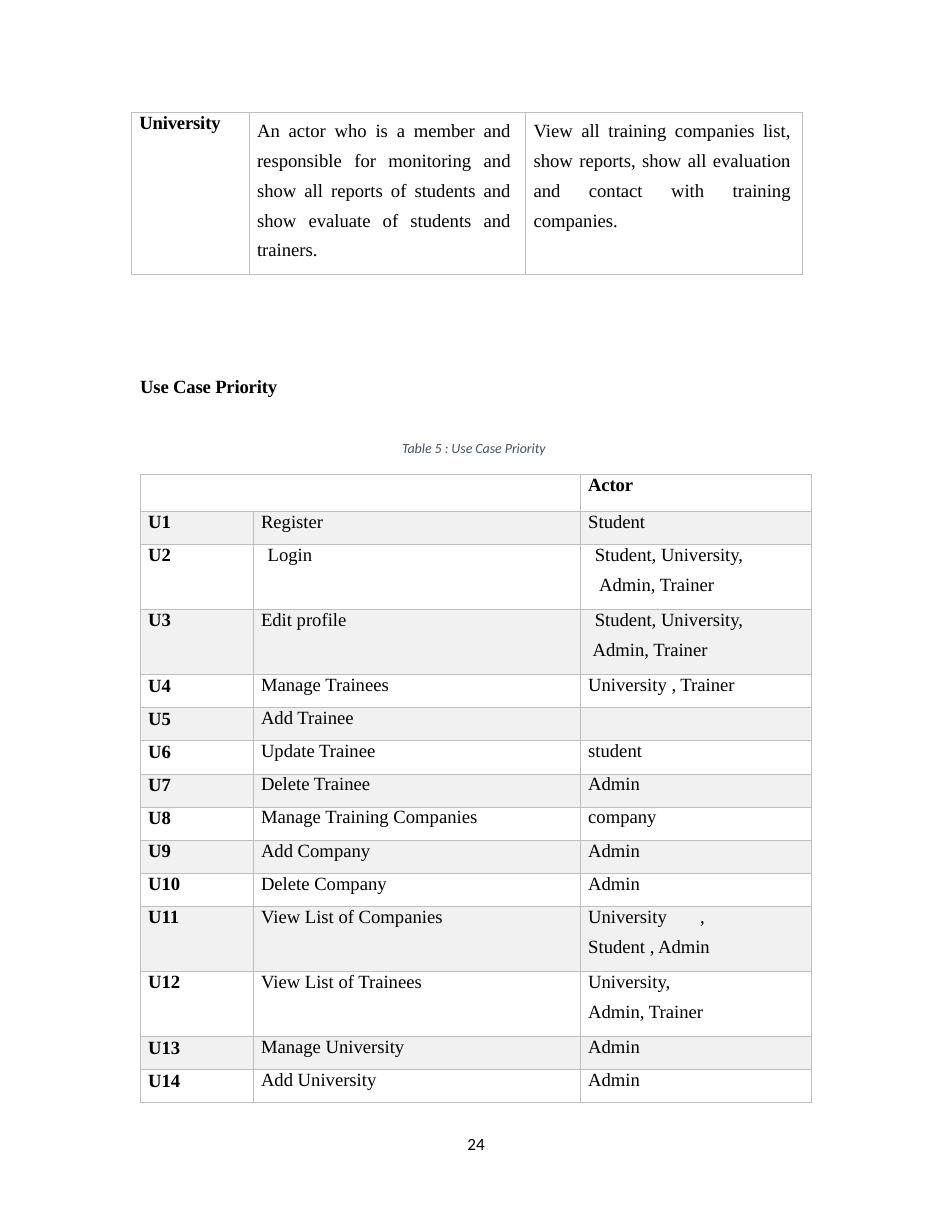
import pptx
import pptx.util
import pptx.dml.color
import pptx.enum.text
import pptx.oxml
import pptx.oxml.ns
from lxml import etree

Cm, Pt = pptx.util.Cm, pptx.util.Pt
ALIGN = pptx.enum.text.PP_ALIGN
HUES = {"ink": "000000", "note": "44536A", "rule": "BEBEBE",
        "band": "F1F1F1", "page": "FFFFFF"}
SERIF, SANS = "Times New Roman", "Calibri"
PAD = 0.18  # left indent of cell text, cm

ROLES = [
    "University",
    "An actor who is a member and responsible for monitoring and show all "
    "reports of students and show evaluate of students and trainers.",
    "View all training companies list, show reports, show all evaluation "
    "and contact with training companies.",
]

# Use case, then the lines of its actor cell
CASES = [
    ("Register", ["Student"]),
    ("Login", ["Student, University,", "Admin, Trainer"]),
    ("Edit profile", ["Student, University,", "Admin, Trainer"]),
    ("Manage Trainees", ["University , Trainer"]),
    ("Add Trainee", []),
    ("Update Trainee", ["student"]),
    ("Delete Trainee", ["Admin"]),
    ("Manage Training Companies", ["company"]),
    ("Add Company", ["Admin"]),
    ("Delete Company", ["Admin"]),
    ("View List of Companies", ["University\t,", "Student , Admin"]),
    ("View List of Trainees", ["University,", "Admin, Trainer"]),
    ("Manage University", ["Admin"]),
    ("Add University", ["Admin"]),
]
# Indents that differ from PAD, by row and column
INSETS = {(2, 1): [0.33], (2, 2): [0.33, 0.43], (3, 2): [0.33, 0.28]}


def hue(name):
    return pptx.dml.color.RGBColor.from_string(HUES[name])


def write(frame, text, more=False, size=12, font=SERIF, tint="ink", bold=False,
          slant=False, align=ALIGN.LEFT, lead=None, above=None, inset=0.0,
          tab=None, track=0):
    """Fill the first paragraph, or add one more, in the given format."""
    para = frame.add_paragraph() if more else frame.paragraphs[0]
    props = para._p.get_or_add_pPr()
    props.set("marL", str(Cm(inset)))
    props.set("indent", "0")
    if tab:
        stops = etree.SubElement(props, pptx.oxml.ns.qn("a:tabLst"))
        etree.SubElement(stops, pptx.oxml.ns.qn("a:tab"),
                         pos=str(Cm(tab)), algn="l")
    para.alignment = align
    if lead:
        para.line_spacing = lead
    if above:
        para.space_before = Pt(above)
    run = para.add_run()
    run.text = text
    run.font.size, run.font.name = Pt(size), font
    run.font.bold, run.font.italic = bold, slant
    run.font.color.rgb = hue(tint)
    if track:
        run._r.get_or_add_rPr().set("spc", str(track))


def label(slide, box, text, **style):
    frame = slide.shapes.add_textbox(*map(Cm, box)).text_frame
    frame.word_wrap = True
    frame.margin_left = frame.margin_right = 0
    frame.margin_top = frame.margin_bottom = 0
    write(frame, text, **style)


def edge(cell):
    """Draw a thin rule on all four sides of a cell."""
    props = cell._tc.get_or_add_tcPr()
    for spot, side in enumerate(("lnL", "lnR", "lnT", "lnB")):
        props.insert(spot, pptx.oxml.parse_xml(
            f'<a:{side} {pptx.oxml.ns.nsdecls("a")} w="{Pt(0.5)}"><a:solidFill>'
            f'<a:srgbClr val="{HUES["rule"]}"/></a:solidFill></a:{side}>'))


def grid(slide, box, cols, rows):
    """Add a plain ruled table at left, top of the box."""
    left, top = box
    table = slide.shapes.add_table(
        len(rows), len(cols), Cm(left), Cm(top),
        Cm(sum(cols)), Cm(sum(rows))).table
    table.first_row = table.horz_banding = False
    for col, wide in zip(table.columns, cols):
        col.width = Cm(wide)
    for row, high in zip(table.rows, rows):
        row.height = Cm(high)
    for cell in table.iter_cells():
        cell.margin_left = cell.margin_right = 0
        cell.margin_top = cell.margin_bottom = 0
        cell.fill.background()
        edge(cell)
        # Keep empty cells from stretching their row
        end = cell.text_frame.paragraphs[0]._p.get_or_add_endParaRPr()
        end.set("sz", "1200")
    return table


def roles(slide, box):
    table = grid(slide, box, [2.67, 6.27, 6.27], [3.68])
    name, duty, task = table.rows[0].cells
    write(name.text_frame, ROLES[0], bold=True, lead=Pt(13.8), inset=PAD,
          track=-10)
    for cell, text, right in ((duty, ROLES[1], 0.33), (task, ROLES[2], 0.25)):
        cell.margin_right = Cm(right)
        write(cell.text_frame, text, align=ALIGN.JUSTIFY, lead=1.44, inset=PAD)


def cases(slide, box):
    rows = [0.84] + [1.48 if len(who) > 1 else 0.75 for _, who in CASES]
    table = grid(slide, box, [2.56, 7.42, 5.24], rows)

    # Header
    table.cell(0, 0).merge(table.cell(0, 1))
    write(table.cell(0, 2).text_frame, "Actor", bold=True, lead=Pt(13.9),
          inset=PAD, track=-10)

    # Numbered rows, every odd one shaded
    for row, (title, who) in enumerate(CASES, 1):
        for col, lines in enumerate(([f"U{row}"], [title], who)):
            cell = table.cell(row, col)
            if row % 2:
                cell.fill.solid()
                cell.fill.fore_color.rgb = hue("band")
            insets = INSETS.get((row, col), [PAD, PAD])
            for place, (text, inset) in enumerate(zip(lines, insets)):
                write(cell.text_frame, text, more=place > 0, bold=col == 0,
                      lead=None if place else Pt(13.6 if col else 13.8),
                      above=6.3 if place else None, inset=inset,
                      tab=3.12 if "\t" in text else None)


def main():
    deck = pptx.Presentation()
    deck.slide_width, deck.slide_height = Cm(21.59), Cm(27.94)
    slide = deck.slides.add_slide(deck.slide_layouts[6])
    slide.background.fill.solid()
    slide.background.fill.fore_color.rgb = hue("page")

    roles(slide, (2.98, 2.54))
    label(slide, (3.15, 8.5, 3.4, 0.58), "Use Case Priority", bold=True,
          above=1, inset=0.03, track=-10)
    label(slide, (9.09, 9.97, 3.5, 0.46), "Table 5 : Use Case Priority", size=9,
          font=SANS, tint="note", slant=True, above=1, inset=0.03, track=-5)
    cases(slide, (3.18, 10.75))
    label(slide, (10.57, 25.76, 0.6, 0.46), "24", size=11, font=SANS,
          lead=Pt(11.5), inset=0.03)
    deck.save("out.pptx")


if __name__ == "__main__":
    main()
